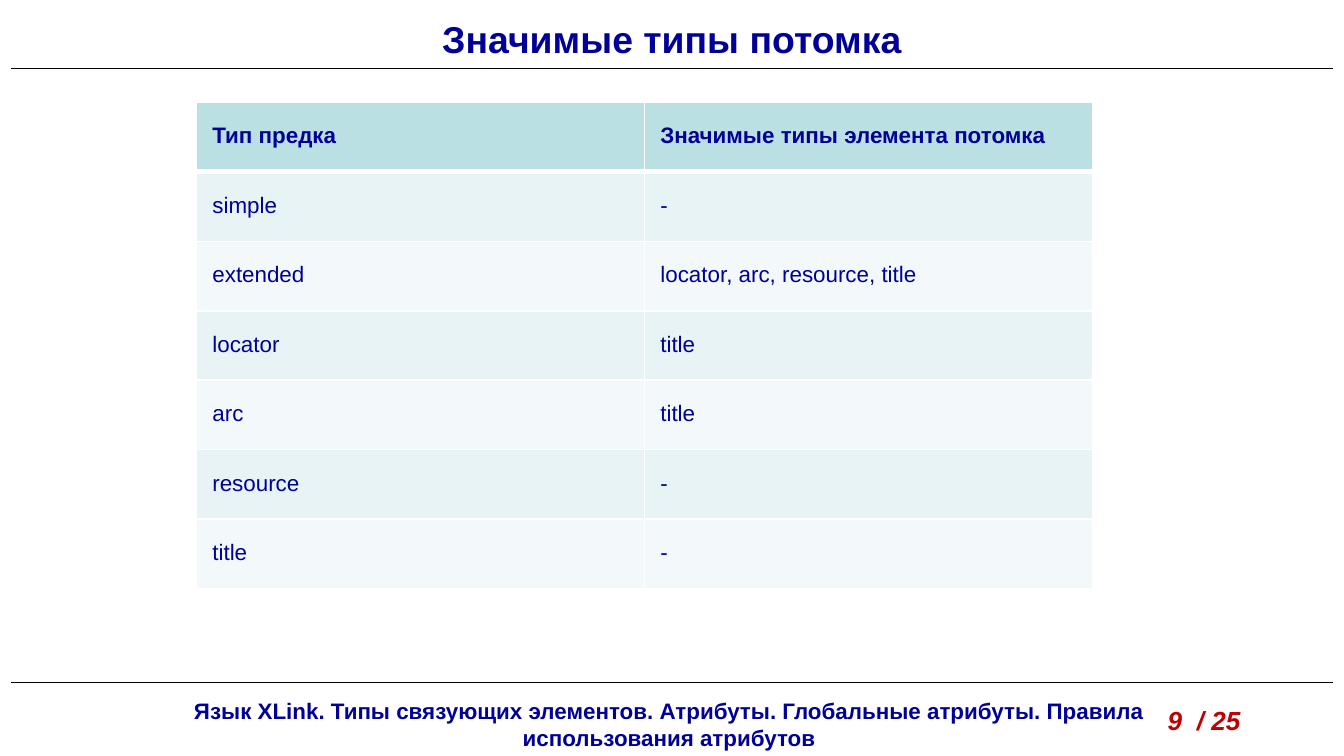
"""Build the slide with a table of significant XLink child types."""
from dataclasses import dataclass

from lxml.etree import SubElement
from pptx import Presentation
from pptx.dml.color import RGBColor as Color
from pptx.enum.shapes import MSO_CONNECTOR as Link
from pptx.enum.text import MSO_ANCHOR as Anchor, PP_ALIGN as Align
from pptx.oxml import parse_xml
from pptx.oxml.ns import nsdecls, qn
from pptx.util import Pt


@dataclass(frozen=True)
class Theme:
    font: str = "Arial"
    ink: str = "000099"
    page: str = "C00000"
    rule: str = "000000"
    edge: str = "FFFFFF"
    head: str = "BBE0E3"
    bands: tuple = ("E7F3F4", "F3F9FA")
    title: int = 20
    body: int = 12
    count: int = 14


THEME = Theme()
ROWS = [
    ("Тип предка", "Значимые типы элемента потомка"),
    ("simple", "-"),
    ("extended", "locator, arc, resource, title"),
    ("locator", "title"),
    ("arc", "title"),
    ("resource", "-"),
    ("title", "-"),
]


def style(para, size, tint=THEME.ink, bold=True, slant=False):
    font = para.font
    font.name, font.size = THEME.font, Pt(size)
    font.bold, font.italic = bold, slant
    font.color.rgb = Color.from_string(tint)


def add_text(slide, text, box, size, align=Align.CENTER, anchor=Anchor.TOP, **look):
    frame = slide.shapes.add_textbox(*map(Pt, box)).text_frame
    frame.word_wrap = True
    frame.vertical_anchor = anchor
    para = frame.paragraphs[0]
    para.text, para.alignment = text, align
    style(para, size, **look)


def add_rule(slide, y):
    line = slide.shapes.add_connector(Link.STRAIGHT, Pt(6), Pt(y), Pt(714), Pt(y))
    line.line.width = Pt(0.75)
    line.line.color.rgb = Color.from_string(THEME.rule)
    SubElement(line._element.spPr, qn("a:effectLst"))


def add_edges(cell, widths):
    props = cell._tc.get_or_add_tcPr()
    for spot, (side, width) in enumerate(widths.items()):
        props.insert(spot, parse_xml(
            f'<a:ln{side} {nsdecls("a")} w="{Pt(width)}"><a:solidFill>'
            f'<a:srgbClr val="{THEME.edge}"/></a:solidFill></a:ln{side}>'))


def fill_cell(cell, text, row):
    top = row == 0
    cell.margin_left = cell.margin_right = Pt(8.5)
    cell.margin_top = cell.margin_bottom = Pt(11.3)
    cell.fill.solid()
    tint = THEME.head if top else THEME.bands[(row - 1) % 2]
    cell.fill.fore_color.rgb = Color.from_string(tint)
    add_edges(cell, {"L": 1, "R": 1, "T": 3 if row == 1 else 1, "B": 3 if top else 1})
    cell.text = text
    style(cell.text_frame.paragraphs[0], THEME.body, bold=top)


def add_grid(slide, rows, left, top, width, high):
    size = len(rows), len(rows[0])
    box = left, top, width, high * len(rows)
    table = slide.shapes.add_table(*size, *map(Pt, box)).table
    for row, texts in enumerate(rows):
        table.rows[row].height = Pt(high)
        for col, text in enumerate(texts):
            fill_cell(table.cell(row, col), text, row)


def main():
    deck = Presentation()
    deck.slide_width, deck.slide_height = Pt(720), Pt(405)
    slide = deck.slides.add_slide(deck.slide_layouts[6])
    add_text(slide, "Язык XLink. Типы связующих элементов. Атрибуты. "
             "Глобальные атрибуты. Правила использования атрибутов",
             (90, 370, 537, 36), THEME.body)
    for y in (365.7, 36.7):
        add_rule(slide, y)
    add_text(slide, "9  / 25", (618.5, 373.7, 73.4, 24.5), THEME.count,
             align=Align.LEFT, tint=THEME.page, slant=True)
    add_text(slide, "Значимые типы потомка", (0, 4.3, 720, 32.4), THEME.title,
             anchor=Anchor.MIDDLE)
    add_grid(slide, ROWS, 105.3, 54.9, 480, 37.2)
    deck.save("out.pptx")


if __name__ == "__main__":
    main()
